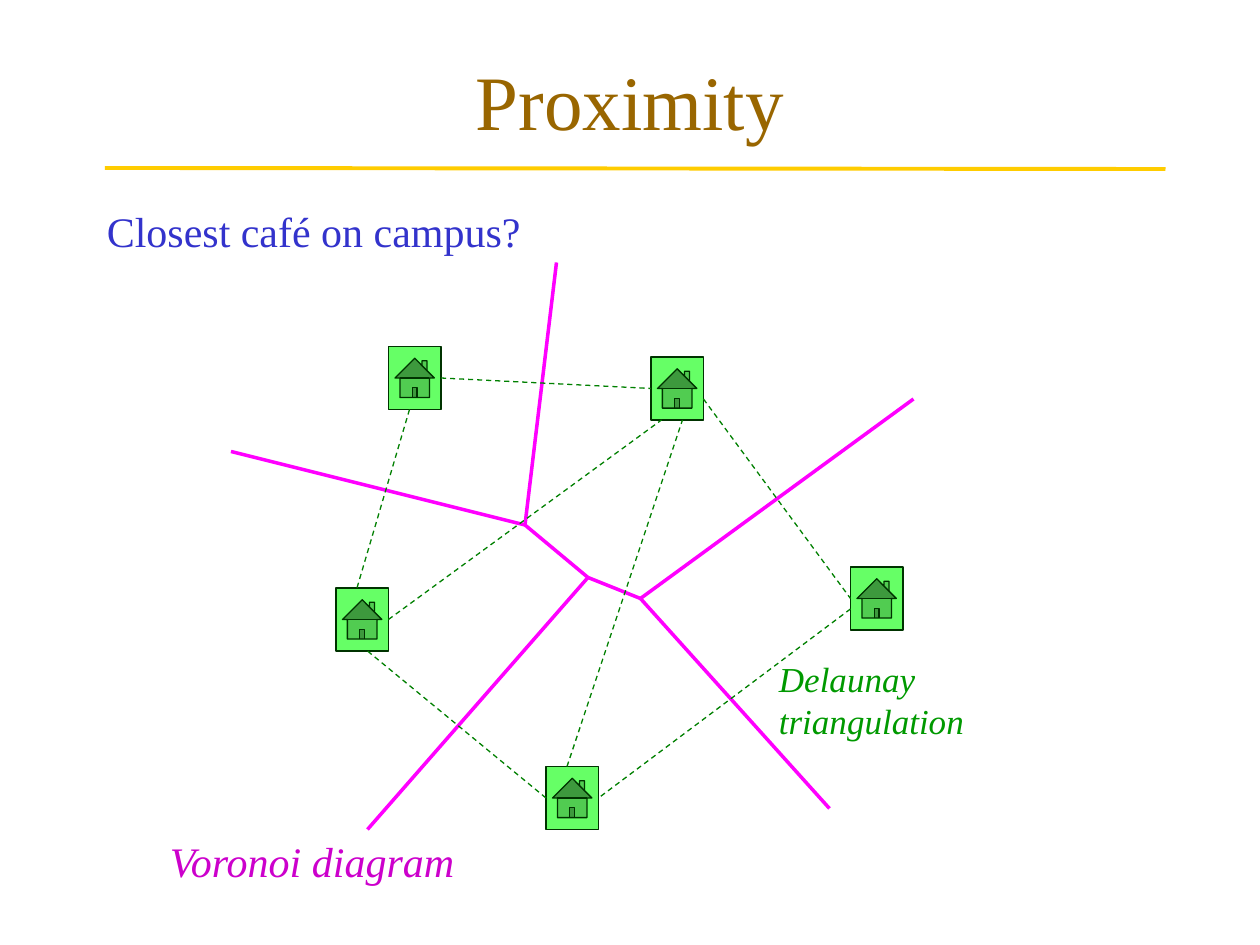
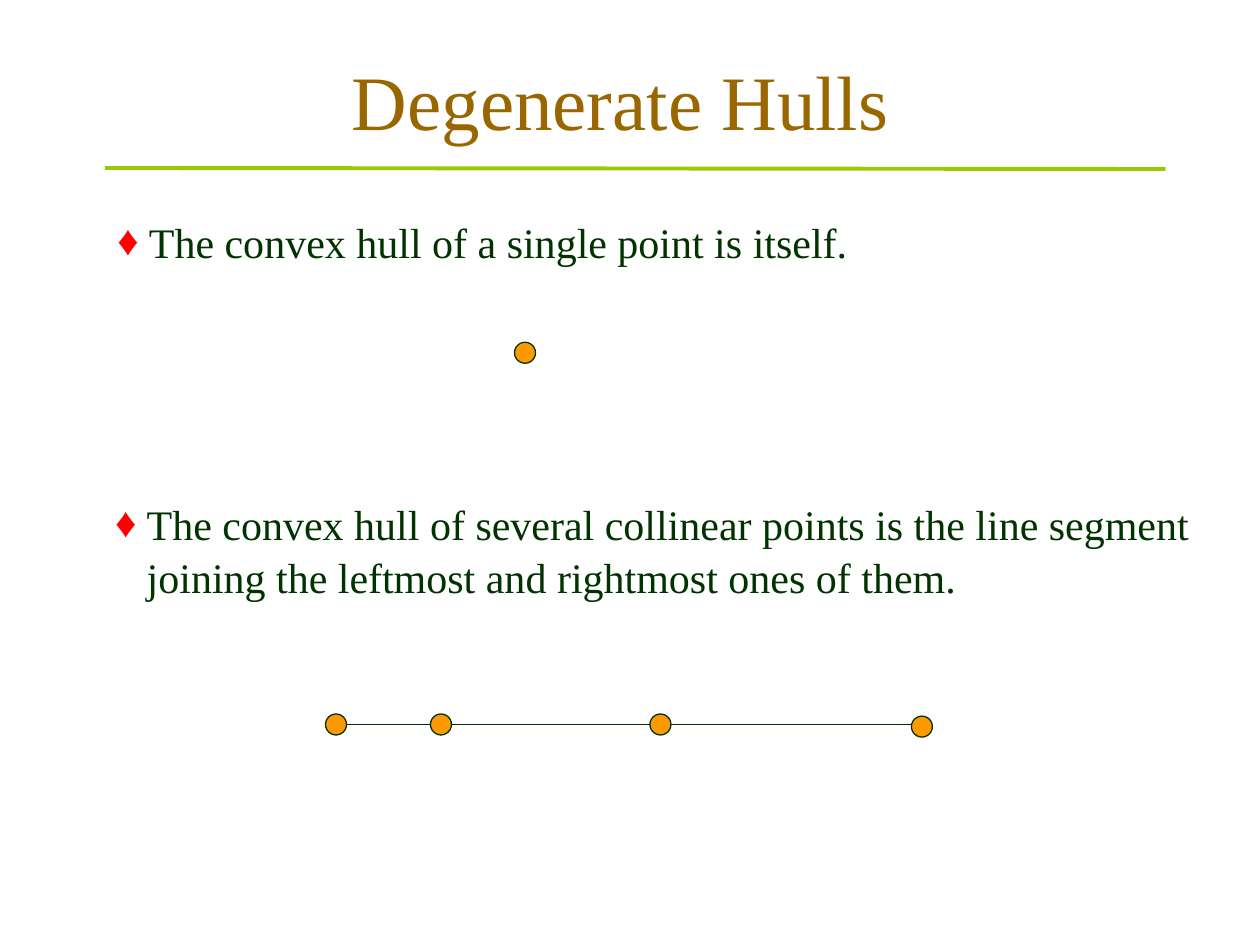
from lxml import etree
from pptx import Presentation
from pptx import util as u
from pptx.dml.color import RGBColor
from pptx.enum import dml, shapes, text
from pptx.oxml import ns

EMU_PER_PX = 7620  # 120 px to the inch
FONT = "Times New Roman"
COLORS = {
    "title": "996600", "gold": "FFCC00", "lime": "99CC00",
    "question": "3333CC", "voronoi": "FF00FF", "voronoi_label": "CC00CC",
    "delaunay": "008000", "delaunay_label": "009900",
    "cafe": "66FF66", "dot": "FF9900", "ink": "003300", "bullet": "FF0000",
}
CAFE_SIZE = (50, 60)
DOT_SIZE = (20, 20)


def px(*lengths):
    return [u.Emu(length * EMU_PER_PX) for length in lengths]


def rgb(name):
    return RGBColor.from_string(COLORS[name])


class Deck:
    """Holds the shared style and the page being drawn."""

    def __init__(self):
        self.file = Presentation()
        self.file.slide_width, self.file.slide_height = px(1200, 900)
        self.page = None

    def add_page(self, title, rule_color):
        self.page = self.file.slides.add_slide(self.file.slide_layouts[5])
        box = self.page.shapes.title
        box.left, box.top, box.width, box.height = px(90, 20, 1020, 150)
        box.text_frame.vertical_anchor = text.MSO_ANCHOR.MIDDLE
        para = self.set_text(box, title, 44, "title")
        para.alignment = text.PP_ALIGN.CENTER
        self.line((100, 160), (1110, 161), rule_color, 2.25)

    def set_text(self, box, words, size, color, italic=False):
        para = box.text_frame.paragraphs[0]
        para.text = words
        para.font.name = FONT
        para.font.size = u.Pt(size)
        para.font.italic = italic
        para.font.color.rgb = rgb(color)
        return para

    def label(self, place, words, size, color, italic=False, wrap=False):
        box = self.page.shapes.add_textbox(*px(*place))
        box.text_frame.word_wrap = wrap
        return self.set_text(box, words, size, color, italic)

    def bullet(self, place, words):
        para = self.label(place, words, 24, "ink", wrap=True)
        para.line_spacing = 1.06
        props = para._p.get_or_add_pPr()
        indent = 30 * EMU_PER_PX
        props.set("marL", str(indent))
        props.set("indent", str(-indent))
        # Bullet marks come before the default run properties
        tint = etree.Element(ns.qn("a:buClr"))
        etree.SubElement(tint, ns.qn("a:srgbClr"), val=COLORS["bullet"])
        face = etree.Element(ns.qn("a:buFont"), typeface=FONT)
        mark = etree.Element(ns.qn("a:buChar"), char="♦")
        defaults = props.find(ns.qn("a:defRPr"))
        for part in (tint, face, mark):
            defaults.addprevious(part)

    def line(self, start, end, color, width=0.75, dashed=False):
        line = self.page.shapes.add_connector(
            shapes.MSO_CONNECTOR.STRAIGHT, *px(*start, *end))
        line.line.color.rgb = rgb(color)
        line.line.width = u.Pt(width)
        if dashed:
            line.line.dash_style = dml.MSO_LINE.DASH
        etree.SubElement(line._element.spPr, ns.qn("a:effectLst"))

    def marker(self, kind, corner, size, color):
        shape = self.page.shapes.add_shape(kind, *px(*corner, *size))
        shape.shadow.inherit = False
        shape.fill.solid()
        shape.fill.fore_color.rgb = rgb(color)
        shape.line.color.rgb = rgb("ink")
        shape.line.width = u.Pt(0.75)


def add_proximity(deck):
    deck.add_page("Proximity", "gold")
    deck.label((90, 190, 418, 60), "Closest café on campus?", 24, "question")

    # Cafés
    for corner in [(370, 330), (520, 730), (320, 560), (620, 340), (810, 540)]:
        deck.marker(shapes.MSO_SHAPE.ACTION_BUTTON_HOME, corner, CAFE_SIZE, "cafe")

    # Voronoi diagram: each vertex with the ends of its edges
    upper, middle, lower = (500, 500), (560, 550), (610, 570)
    voronoi = {
        upper: [(530, 250), (220, 430), middle],
        middle: [(350, 790), lower],
        lower: [(870, 380), (790, 770)],
    }
    for vertex, ends in voronoi.items():
        for end in ends:
            deck.line(vertex, end, "voronoi", 2)
    deck.label((150, 790, 301, 60), "Voronoi diagram", 24, "voronoi_label", italic=True)

    # Delaunay triangulation
    delaunay = [
        ((420, 360), (620, 370)), ((670, 380), (810, 570)),
        ((810, 580), (570, 760)), ((520, 760), (350, 620)),
        ((390, 390), (340, 560)), ((370, 590), (630, 400)),
        ((540, 730), (650, 400)),
    ]
    for start, end in delaunay:
        deck.line(start, end, "delaunay", dashed=True)
    deck.label((730, 620, 337, 52), "Delaunay\vtriangulation", 20,
               "delaunay_label", italic=True, wrap=True)


def add_degenerate_hulls(deck):
    deck.add_page("Degenerate Hulls ", "lime")
    deck.bullet((100, 197, 748, 60), "The convex hull of a single point is itself.")
    deck.bullet((98, 466, 1056, 109),
                "The convex hull of several collinear points is the line segment "
                "joining the leftmost and rightmost ones of them.")

    # Single point, then the segment with its collinear points
    deck.line((328, 690), (870, 690), "ink")
    for corner in [(490, 326), (310, 680), (410, 680), (619, 680), (868, 682)]:
        deck.marker(shapes.MSO_SHAPE.OVAL, corner, DOT_SIZE, "dot")


def main():
    deck = Deck()
    add_proximity(deck)
    add_degenerate_hulls(deck)
    deck.file.save("out.pptx")


if __name__ == "__main__":
    main()
